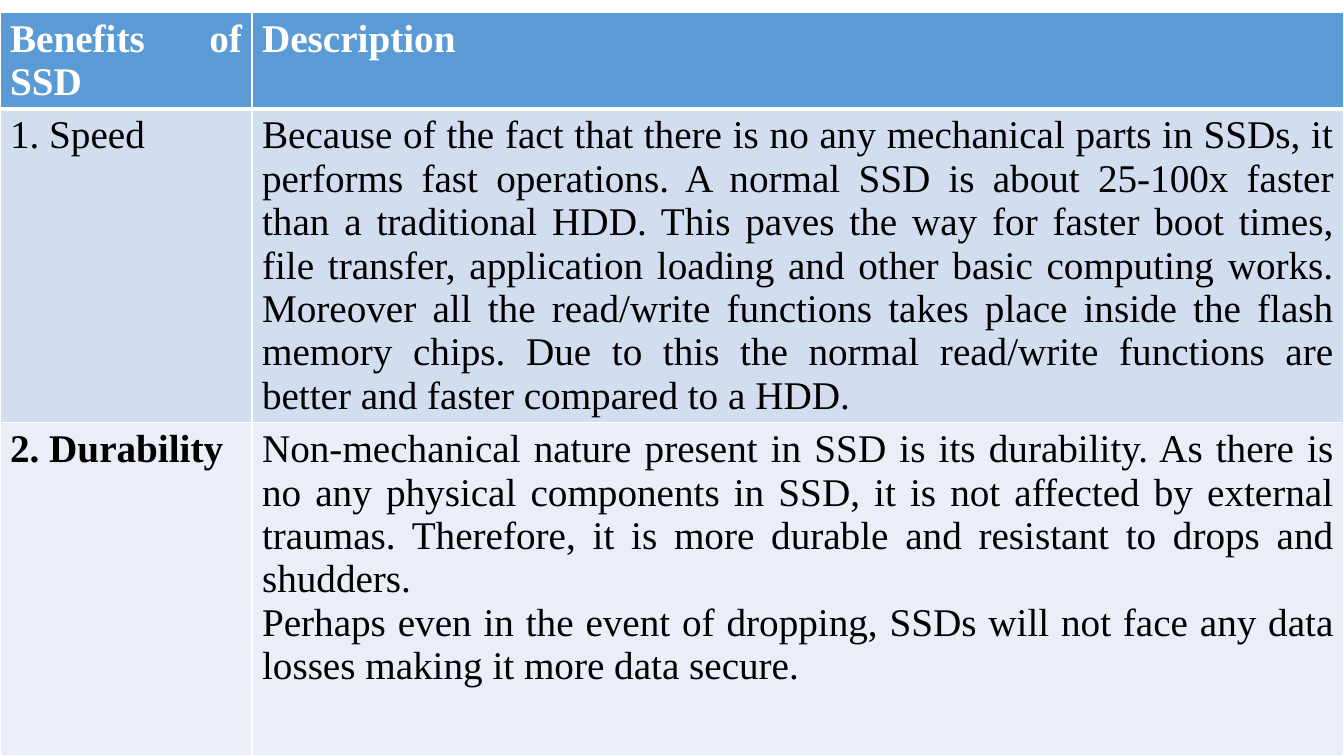
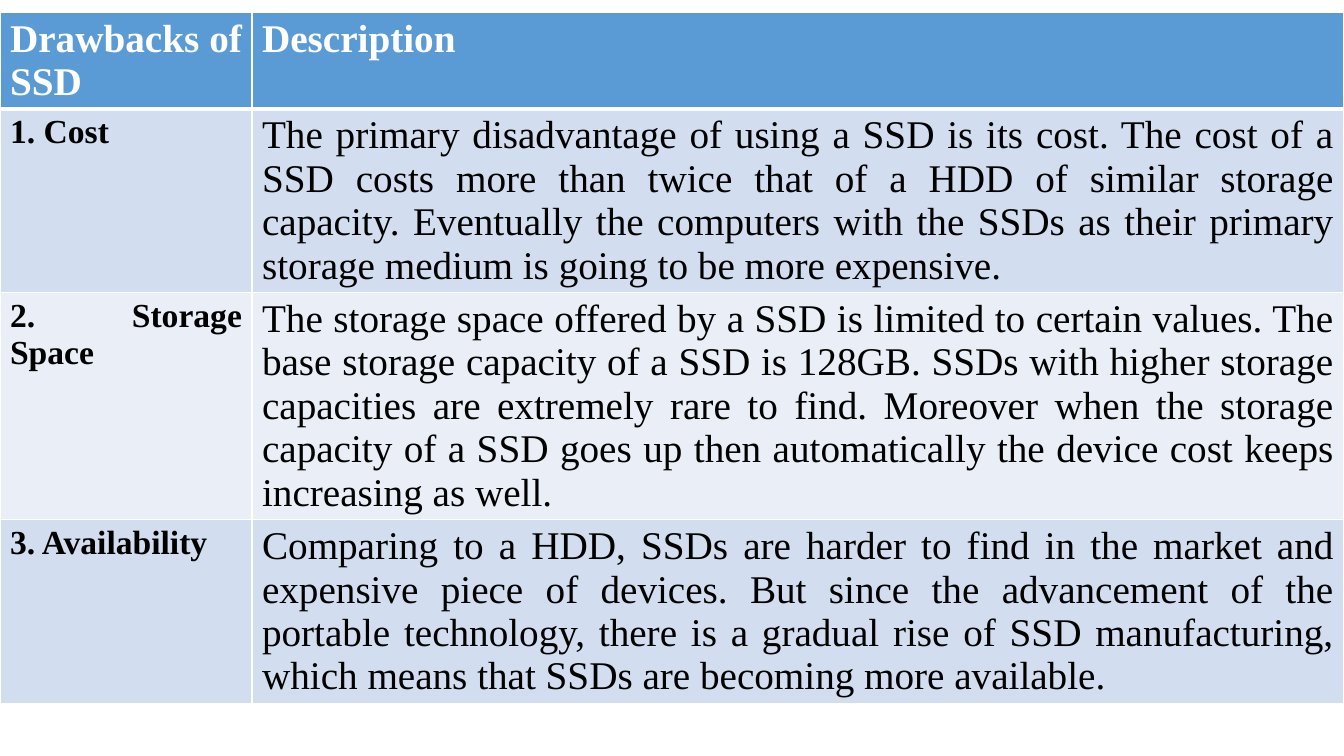
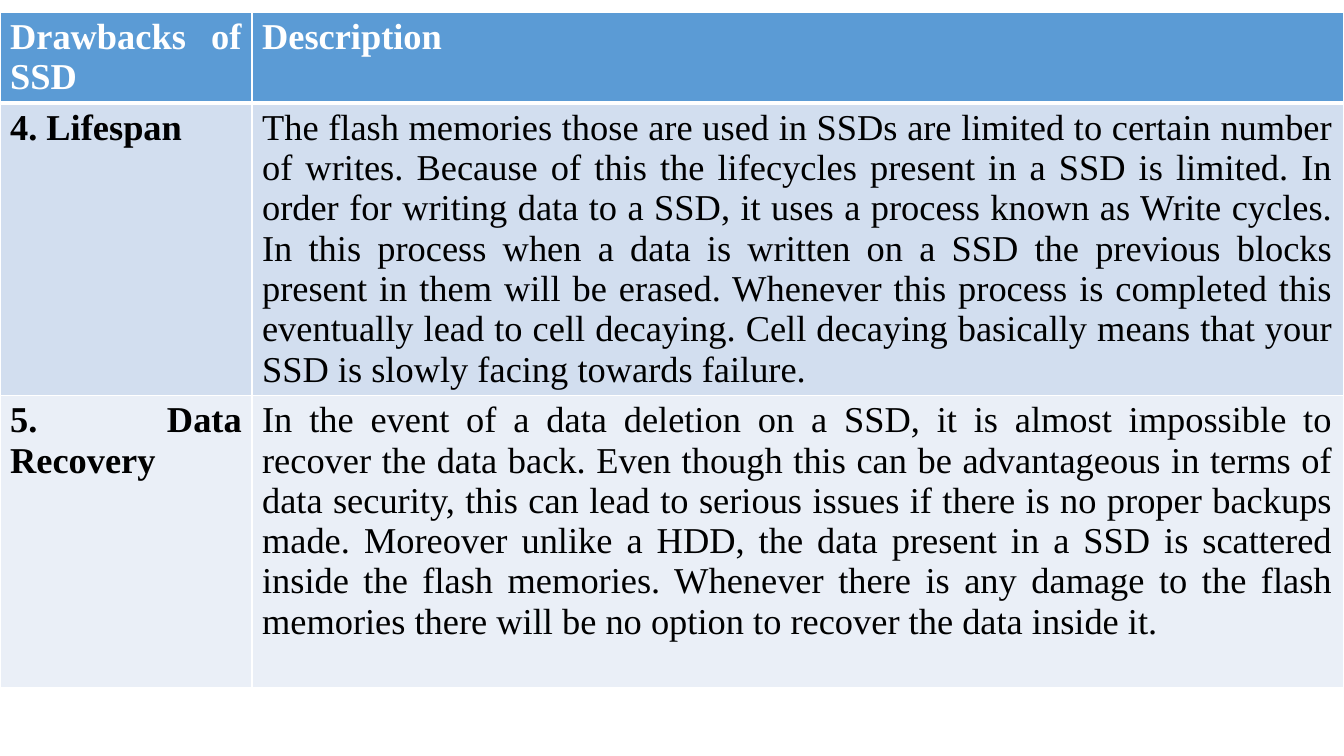
from lxml import etree
from pptx import Presentation
from pptx.dml.color import RGBColor
from pptx.enum.text import MSO_ANCHOR, PP_ALIGN
from pptx.oxml.ns import qn
from pptx.util import Pt

JUST = PP_ALIGN.JUSTIFY
TOP = MSO_ANCHOR.TOP


class Theme:
    font = "Times New Roman"
    white, black = "FFFFFF", "000000"
    head = "5B9BD5"
    bands = ("D2DEEF", "EAEFF7")
    big, mid, small = 28, 26, 24
    thin, thick = 1, 3
    wide, high = 960, 540
    start = 8.64
    cols = (180, 780)
    pad = 7.2
    lead = 1.107


def put(item, values):
    """Set each named attribute of an item."""
    for name, value in values.items():
        setattr(item, name, value)


class Deck:
    def __init__(self, theme):
        self.theme = theme
        self.file = Presentation()
        put(self.file, {"slide_width": Pt(theme.wide), "slide_height": Pt(theme.high)})
        self.slide = None

    def page(self):
        self.slide = self.file.slides.add_slide(self.file.slide_layouts[6])

    def edges(self, cell, row):
        """Draw white cell borders, with a thick rule under the head row."""
        props = cell._tc.get_or_add_tcPr()
        sides = {"L": self.theme.thin, "R": self.theme.thin,
                 "T": self.theme.thick if row == 1 else self.theme.thin,
                 "B": self.theme.thick if row == 0 else self.theme.thin}
        for spot, (side, width) in enumerate(sides.items()):
            line = etree.Element(qn("a:ln" + side), w=str(Pt(width)))
            fill = etree.SubElement(line, qn("a:solidFill"))
            etree.SubElement(fill, qn("a:srgbClr"), val=self.theme.white)
            props.insert(spot, line)

    def cell(self, cell, row, text, size, bold):
        theme = self.theme
        cell.fill.solid()
        shade = theme.bands[(row - 1) % 2] if row else theme.head
        cell.fill.fore_color.rgb = RGBColor.from_string(shade)
        cell.vertical_anchor = TOP
        self.edges(cell, row)
        cell.text_frame.text = text
        ink = theme.black if row else theme.white
        for para in cell.text_frame.paragraphs:
            para.alignment = JUST
            for run in para.runs:
                put(run.font, {"name": theme.font, "size": Pt(size), "bold": bold})
                run.font.color.rgb = RGBColor.from_string(ink)

    def table(self, title, size, label, rows):
        """Each row holds its label, bold flag, height in lines and text."""
        theme = self.theme
        rows = [(title, True, 2, "Description")] + rows
        left = theme.high - theme.start
        tall = []
        for row in rows:
            tall.append(min(row[2] * size * theme.lead + theme.pad, left))
            left -= tall[-1]
        frame = self.slide.shapes.add_table(
            len(rows), len(theme.cols), Pt(0), Pt(theme.start),
            Pt(theme.wide), Pt(sum(tall)))
        grid = frame.table
        grid.horz_banding = False
        for col, width in zip(grid.columns, theme.cols):
            col.width = Pt(width)
        for num, (name, bold, _, text) in enumerate(rows):
            grid.rows[num].height = Pt(tall[num])
            self.cell(grid.cell(num, 0), num, name, label if num else size, bold)
            self.cell(grid.cell(num, 1), num, text, size, num == 0)


# Slide content: title, text size, label size, rows
PAGES = [
    ("Benefits of SSD", Theme.big, Theme.big, [
        ("1. Speed", False, 7,
         "Because of the fact that there is no any mechanical parts in SSDs, it "
         "performs fast operations. A normal SSD is about 25-100x faster than a "
         "traditional HDD. This paves the way for faster boot times, file transfer, "
         "application loading and other basic computing works. Moreover all the "
         "read/write functions takes place inside the flash memory chips. Due to this "
         "the normal read/write functions are better and faster compared to a HDD."),
        ("2. Durability", True, 9,
         "Non-mechanical nature present in SSD is its durability. As there is no any "
         "physical components in SSD, it is not affected by external traumas. "
         "Therefore, it is more durable and resistant to drops and shudders.\n"
         "Perhaps even in the event of dropping, SSDs will not face any data losses "
         "making it more data secure."),
    ]),
    ("Drawbacks of SSD", Theme.big, Theme.small, [
        ("1. Cost", True, 4,
         "The primary disadvantage of using a SSD is its cost. The cost of a SSD costs "
         "more than twice that of a HDD of similar storage capacity. Eventually the "
         "computers with the SSDs as their primary storage medium is going to be more "
         "expensive."),
        ("2. Storage Space", True, 5,
         "The storage space offered by a SSD is limited to certain values. The base "
         "storage capacity of a SSD is 128GB. SSDs with higher storage capacities are "
         "extremely rare to find. Moreover when the storage capacity of a SSD goes up "
         "then automatically the device cost keeps increasing as well."),
        ("3. Availability", True, 4,
         "Comparing to a HDD, SSDs are harder to find in the market and expensive "
         "piece of devices. But since the advancement of the portable technology, "
         "there is a gradual rise of SSD manufacturing, which means that SSDs are "
         "becoming more available."),
    ]),
    ("Drawbacks of SSD", Theme.mid, Theme.mid, [
        ("4. Lifespan", True, 7,
         "The flash memories those are used in SSDs are limited to certain number of "
         "writes. Because of this the lifecycles present in a SSD is limited. In order "
         "for writing data to a SSD, it uses a process known as Write cycles. In this "
         "process when a data is written on a SSD the previous blocks present in them "
         "will be erased. Whenever this process is completed this eventually lead to "
         "cell decaying. Cell decaying basically means that your SSD is slowly facing "
         "towards failure."),
        ("5. Data Recovery", True, 7,
         "In the event of a data deletion on a SSD, it is almost impossible to recover "
         "the data back. Even though this can be advantageous in terms of data "
         "security, this can lead to serious issues if there is no proper backups "
         "made. Moreover unlike a HDD, the data present in a SSD is scattered inside "
         "the flash memories. Whenever there is any damage to the flash memories there "
         "will be no option to recover the data inside it."),
    ]),
]


def main():
    deck = Deck(Theme)
    for page in PAGES:
        deck.page()
        deck.table(*page)
    deck.file.save("out.pptx")


if __name__ == "__main__":
    main()
